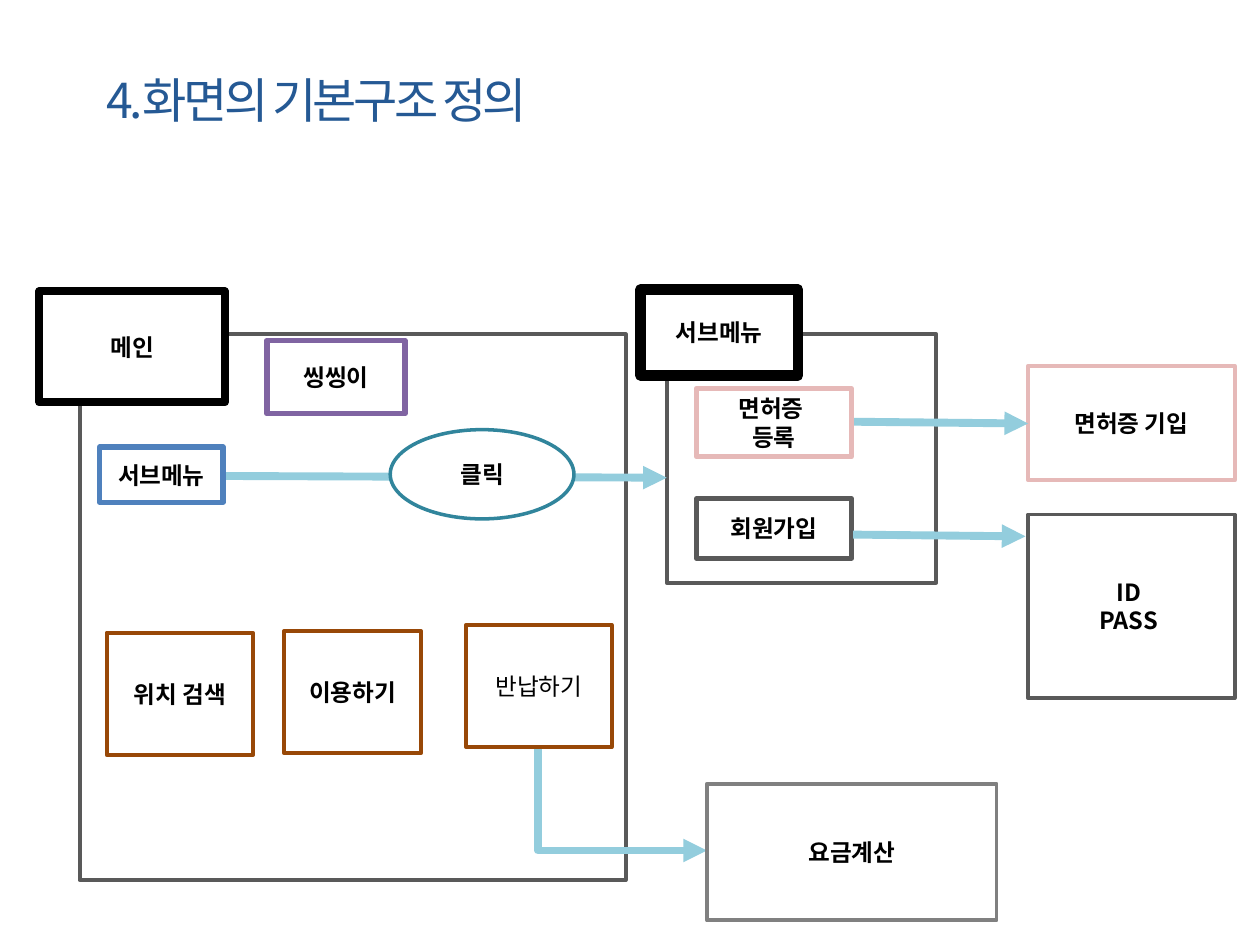
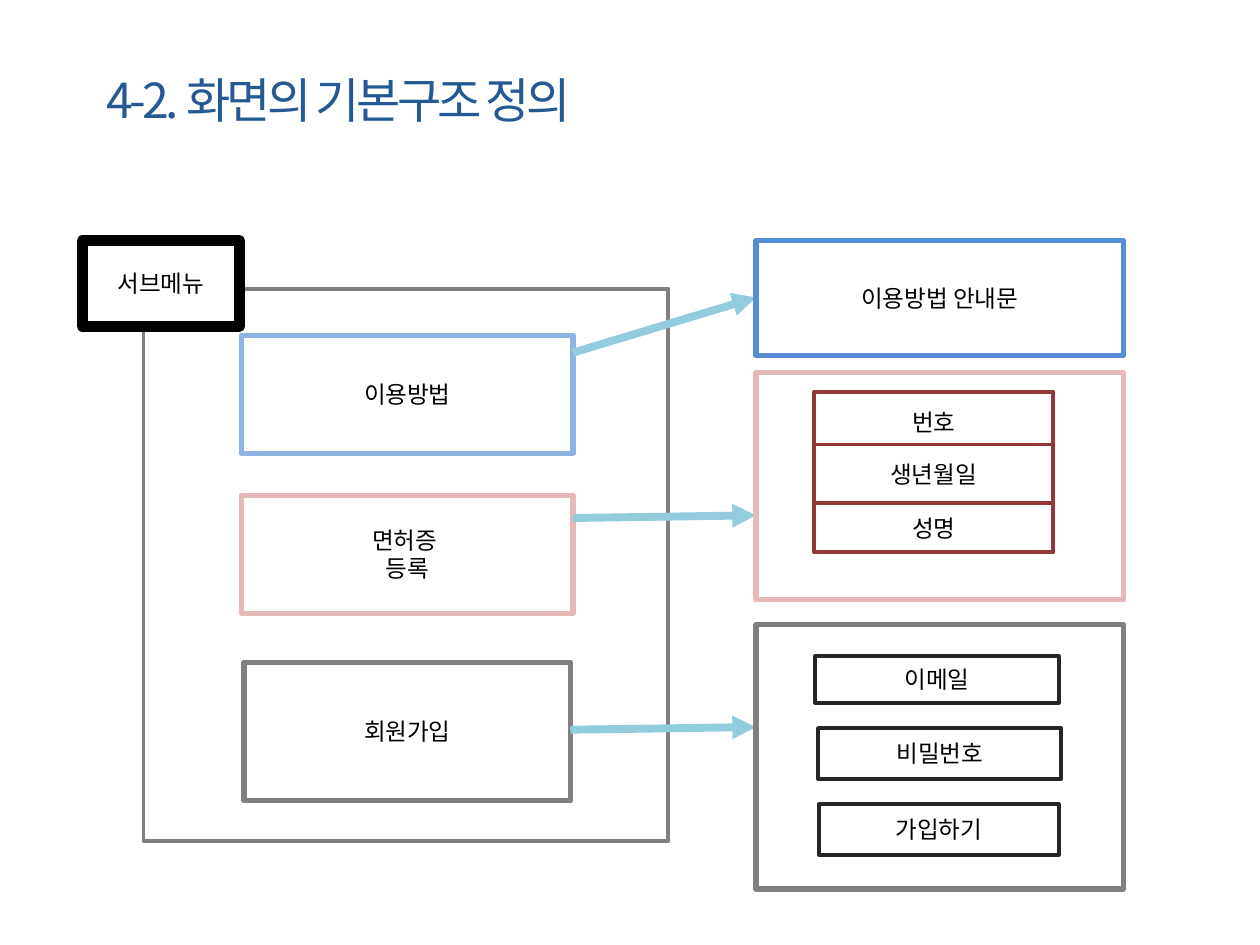
import pptx
import pptx.util
import pptx.dml.color
import pptx.enum.shapes
import pptx.enum.text
import pptx.oxml
import pptx.oxml.ns

Pt = pptx.util.Pt
RGBColor = pptx.dml.color.RGBColor
SHAPES = pptx.enum.shapes.MSO_SHAPE
CONNECTORS = pptx.enum.shapes.MSO_CONNECTOR
ALIGN = pptx.enum.text.PP_ALIGN
ANCHOR = pptx.enum.text.MSO_ANCHOR
AUTO_SIZE = pptx.enum.text.MSO_AUTO_SIZE

FONT = "Noto Sans CJK KR"
WHITE = RGBColor(0xFF, 0xFF, 0xFF)
BLACK = RGBColor(0x00, 0x00, 0x00)
TITLE_BLUE = RGBColor(0x25, 0x59, 0x94)
ARROW_BLUE = RGBColor(0x93, 0xCD, 0xDD)
DARK_GREY = RGBColor(0x59, 0x59, 0x59)
GREY = RGBColor(0x80, 0x80, 0x80)
CHARCOAL = RGBColor(0x26, 0x26, 0x26)
PURPLE = RGBColor(0x80, 0x64, 0xA2)
PINK = RGBColor(0xE6, 0xB9, 0xB8)
TEAL = RGBColor(0x31, 0x85, 0x9C)
BROWN = RGBColor(0x98, 0x48, 0x07)
BLUE = RGBColor(0x4F, 0x81, 0xBD)
LIGHT_BLUE = RGBColor(0x8E, 0xB4, 0xE3)
BRIGHT_BLUE = RGBColor(0x55, 0x8E, 0xD5)
DARK_RED = RGBColor(0x95, 0x37, 0x35)

SLIDE_SIZE = {"slide_width": Pt(720), "slide_height": Pt(540)}
TITLE_BOX = (53.5, 36.5, 578, 40.5)
TITLE_SPACING = "-200"
TITLE_FONT = {"name": FONT, "size": Pt(27.5), "bold": False}
TITLE_FRAME = {"vertical_anchor": ANCHOR.MIDDLE, "word_wrap": True,
               "auto_size": AUTO_SIZE.SHAPE_TO_FIT_TEXT}
LABEL_FONT = {"name": FONT, "size": Pt(13.5)}
LABEL_FRAME = {"vertical_anchor": ANCHOR.MIDDLE, "word_wrap": True}
ARROW_WEIGHT = 4.5

BOX_KINDS = {
    "plain": (SHAPES.RECTANGLE, False),
    "bold": (SHAPES.RECTANGLE, True),
    "oval": (SHAPES.OVAL, True),
}

MAIN_SCREEN = [
    ("plain", "", DARK_GREY, 2.25, (45.5, 191, 312, 312)),
    ("plain", "", DARK_GREY, 2.25, (381, 191, 154, 142)),
    ("bold", "씽씽이", PURPLE, 3, (152.5, 194.5, 79, 42)),
    ("bold", "메인", BLACK, 4.5, (22.5, 166.5, 106, 63.5)),
    ("bold", "면허증 기입", PINK, 2.25, (587.5, 209, 118, 65.5)),
    ("bold", "ID \nPASS ", DARK_GREY, 2.25, (587.5, 294, 118, 105)),
    ("arrow", (126.5, 272, 381, 273)),
    ("elbow", (307.5, 427, 404, 486)),
    ("arrow", (486.5, 241, 587.5, 242)),
    ("oval", "클릭", TEAL, 2, (223, 245.5, 105, 51)),
    ("bold", "위치 검색", BROWN, 2.25, (61, 361.5, 83.5, 70)),
    ("bold", "이용하기", BROWN, 2.25, (162.5, 360.5, 78, 70)),
    ("plain", "반납하기", BROWN, 2.25, (266.5, 357, 83, 70)),
    ("bold", "요금계산", GREY, 2.25, (404, 448, 165.5, 78)),
    ("bold", "서브메뉴", BLACK, 6, (366, 165.5, 90, 49)),
    ("bold", "면허증 \n등록", PINK, 3, (398, 222, 88.5, 39)),
    ("bold", "회원가입", DARK_GREY, 3, (398, 285, 88.5, 34)),
    ("bold", "서브메뉴", BLUE, 3, (57, 255.5, 70.5, 31.5)),
    ("arrow", (487.5, 305.5, 586, 306.5)),
]

SUBMENU_SCREEN = [
    ("plain", "", GREY, 2.25, (82, 165, 300, 315.5)),
    ("plain", "서브메뉴", BLACK, 6, (47, 137.5, 90, 49)),
    ("plain", "면허증 \n등록", PINK, 3, (138, 283, 189.5, 67.5)),
    ("plain", "회원가입", GREY, 3, (139.5, 378.5, 186.5, 79)),
    ("arrow", (327.5, 296, 432, 294.5)),
    ("arrow", (326, 417, 432, 415.5)),
    ("plain", "", PINK, 3, (432, 213, 210, 129.5)),
    ("plain", "", GREY, 3, (432, 357, 210, 151)),
    ("plain", "이메일", CHARCOAL, 2.25, (466, 375, 139, 26.5)),
    ("plain", "비밀번호", CHARCOAL, 2.25, (467.5, 416, 139, 29)),
    ("plain", "가입하기", CHARCOAL, 2.25, (468, 459.5, 137, 29)),
    ("plain", "번호", DARK_RED, 2.25, (465, 224, 137, 34)),
    ("plain", "생년월일", DARK_RED, 2.25, (465, 254, 137, 34)),
    ("plain", "성명", DARK_RED, 2.25, (465, 287.5, 137, 28)),
    ("plain", "이용방법", LIGHT_BLUE, 3, (138, 191.5, 189.5, 67.5)),
    ("arrow", (327.5, 201.5, 432, 170)),
    ("plain", "이용방법 안내문", BRIGHT_BLUE, 3, (432, 137.5, 210, 65.5)),
]

SLIDES = [
    ("4.화면의 기본구조 정의", MAIN_SCREEN),
    ("4-2. 화면의 기본구조 정의", SUBMENU_SCREEN),
]


def apply(target, values):
    for name, value in values.items():
        setattr(target, name, value)


def add_child(parent, tag, **attributes):
    child = pptx.oxml.ns.qn(tag)
    element = parent.makeelement(child, attributes)
    parent.append(element)
    return element


def place(shape, box):
    apply(shape, dict(zip(("left", "top", "width", "height"), map(Pt, box))))


def write_text(shape, text, font, frame, colour, alignment):
    shape.text_frame.text = text
    apply(shape.text_frame, frame)
    for paragraph in shape.text_frame.paragraphs:
        paragraph.alignment = alignment
        for run in paragraph.runs:
            apply(run.font, font)
            run.font.color.rgb = colour
            add_child(run.font._element, "a:ea", typeface=FONT)


def add_title(slide, text):
    title = slide.shapes.title
    place(title, TITLE_BOX)
    write_text(title, text, TITLE_FONT, TITLE_FRAME, TITLE_BLUE, ALIGN.LEFT)
    title.text_frame.paragraphs[0].runs[0].font._element.set("spc", TITLE_SPACING)


def add_box(slide, kind, text, colour, weight, box):
    preset, bold = BOX_KINDS[kind]
    shape = slide.shapes.add_shape(preset, *map(Pt, box))
    shape.shadow.inherit = False
    shape.fill.solid()
    shape.fill.fore_color.rgb = WHITE
    shape.line.color.rgb = colour
    shape.line.width = Pt(weight)
    if text:
        font = {**LABEL_FONT, "bold": bold}
        write_text(shape, text, font, LABEL_FRAME, BLACK, ALIGN.CENTER)


def turn_down_then_right(connector, ends):
    x1, y1, x2, y2 = ends
    across, down = x2 - x1, y2 - y1
    place(connector, ((x1 + x2 - down) / 2, (y1 + y2 - across) / 2, down, across))
    properties = connector._element.spPr
    transform = properties.find(pptx.oxml.ns.qn("a:xfrm"))
    transform.set("rot", str(270 * 60000))
    transform.set("flipH", "1")
    properties.find(pptx.oxml.ns.qn("a:prstGeom")).set("prst", "bentConnector2")


def add_arrow(slide, kind, ends):
    route = CONNECTORS.ELBOW if kind == "elbow" else CONNECTORS.STRAIGHT
    connector = slide.shapes.add_connector(route, *map(Pt, ends))
    if kind == "elbow":
        turn_down_then_right(connector, ends)
    connector.line.color.rgb = ARROW_BLUE
    connector.line.width = Pt(ARROW_WEIGHT)
    add_child(connector.line._get_or_add_ln(), "a:tailEnd", type="triangle")
    add_child(connector._element.spPr, "a:effectLst")


presentation = pptx.Presentation()
apply(presentation, SLIDE_SIZE)
title_only = presentation.slide_layouts.get_by_name("Title Only")
for title, parts in SLIDES:
    slide = presentation.slides.add_slide(title_only)
    add_title(slide, title)
    for kind, *details in parts:
        add_part = add_box if kind in BOX_KINDS else add_arrow
        add_part(slide, kind, *details)
presentation.save("out.pptx")
